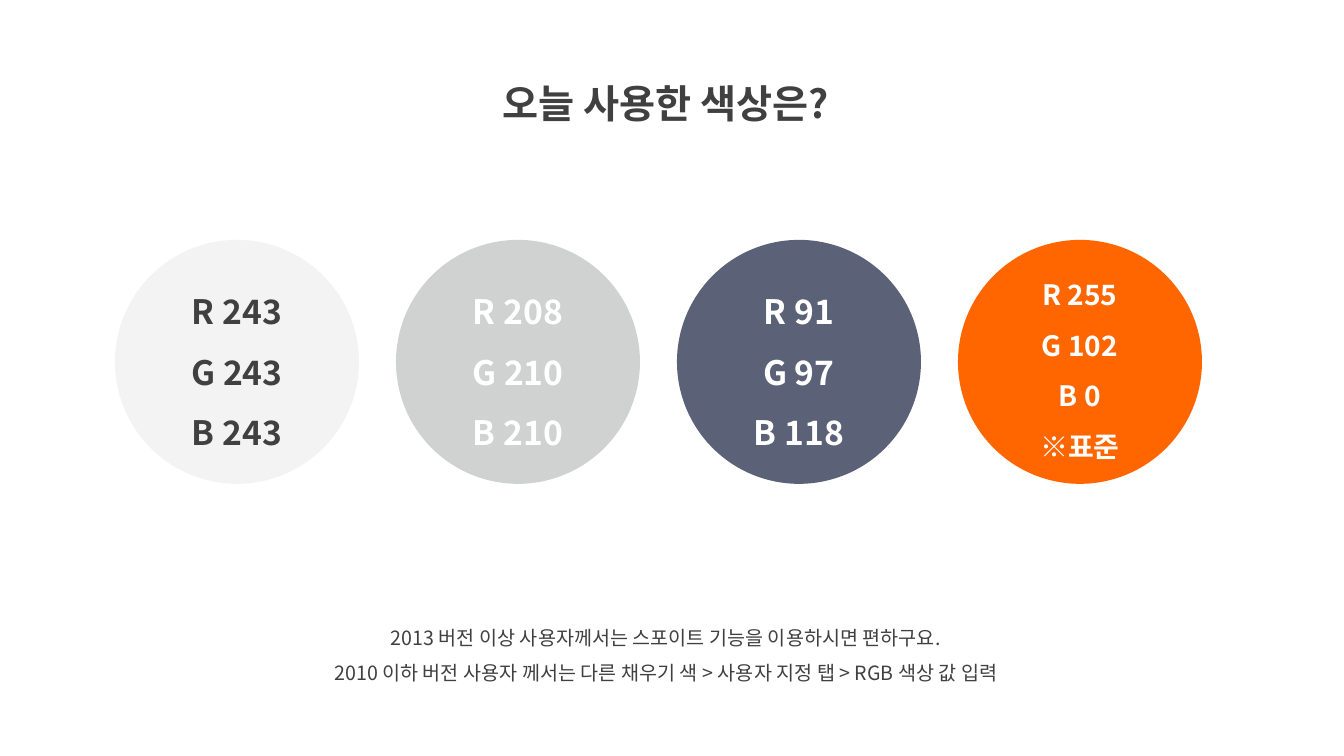
from lxml.etree import SubElement
from pptx import Presentation
from pptx.dml.color import RGBColor
from pptx.enum.shapes import MSO_SHAPE
from pptx.enum.text import MSO_ANCHOR, PP_ALIGN
from pptx.oxml.ns import qn
from pptx.util import Inches, Pt

FONT = "Noto Sans CJK KR"
COLORS = {
    "light": "F3F3F3",
    "gray": "D0D2D2",
    "navy": "5B6176",
    "orange": "FF6600",
    "dark": "404040",
    "white": "FFFFFF",
}

TITLE = ["오늘 사용한 색상은?"]
TIPS = [
    "2013 버전 이상 사용자께서는 스포이트 기능을 이용하시면 편하구요.",
    "2010 이하 버전 사용자 께서는 다른 채우기 색 > 사용자 지정 탭 > RGB 색상 값 입력",
]
# fill, text colour, text size, lines
SWATCHES = [
    ("light", "dark", 24, ["R 243", "G 243", "B 243"]),
    ("gray", "white", 24, ["R 208", "G 210", "B 210"]),
    ("navy", "white", 24, ["R 91", "G 97", "B 118"]),
    ("orange", "white", 20, ["R 255", "G 102", "B 0", "※표준"]),
]
SWATCH_LEFT, SWATCH_TOP, SWATCH_SIZE, SWATCH_STEP = 1.14, 2.38, 2.42, 2.787


def write_lines(frame, lines, size, color, bold):
    """Fill a text frame with centred lines, one paragraph each."""
    frame.word_wrap = True
    for index, line in enumerate(lines):
        para = frame.add_paragraph() if index else frame.paragraphs[0]
        para.text = line
        para.alignment = PP_ALIGN.CENTER
        para.line_spacing = 1.5
        font = para.font
        font.size, font.bold, font.name = Pt(size), bold, FONT
        font.color.rgb = RGBColor.from_string(COLORS[color])
        defaults = para._p.pPr.find(qn("a:defRPr"))
        SubElement(defaults, qn("a:ea")).set("typeface", FONT)


def add_text(page, area, lines, size, bold=False):
    """Place a dark text box over the given area in inches."""
    box = page.shapes.add_textbox(*map(Inches, area))
    write_lines(box.text_frame, lines, size, "dark", bold)


def add_swatch(page, index, fill, color, size, lines):
    """Draw one colour circle with its RGB values."""
    left = SWATCH_LEFT + index * SWATCH_STEP
    circle = page.shapes.add_shape(
        MSO_SHAPE.OVAL, Inches(left), Inches(SWATCH_TOP),
        Inches(SWATCH_SIZE), Inches(SWATCH_SIZE))
    circle.shadow.inherit = False
    circle.fill.solid()
    circle.fill.fore_color.rgb = RGBColor.from_string(COLORS[fill])
    circle.line.fill.background()
    circle.text_frame.vertical_anchor = MSO_ANCHOR.MIDDLE
    write_lines(circle.text_frame, lines, size, color, True)


deck = Presentation()
deck.slide_width, deck.slide_height = Inches(13.33), Inches(7.5)
page = deck.slides.add_slide(deck.slide_layouts[6])
add_text(page, (4.29, 0.5, 4.63, 0.72), TITLE, 28, bold=True)
add_text(page, (2.61, 6.04, 7.99, 0.81), TIPS, 14)
for index, swatch in enumerate(SWATCHES):
    add_swatch(page, index, *swatch)
deck.save("out.pptx")
